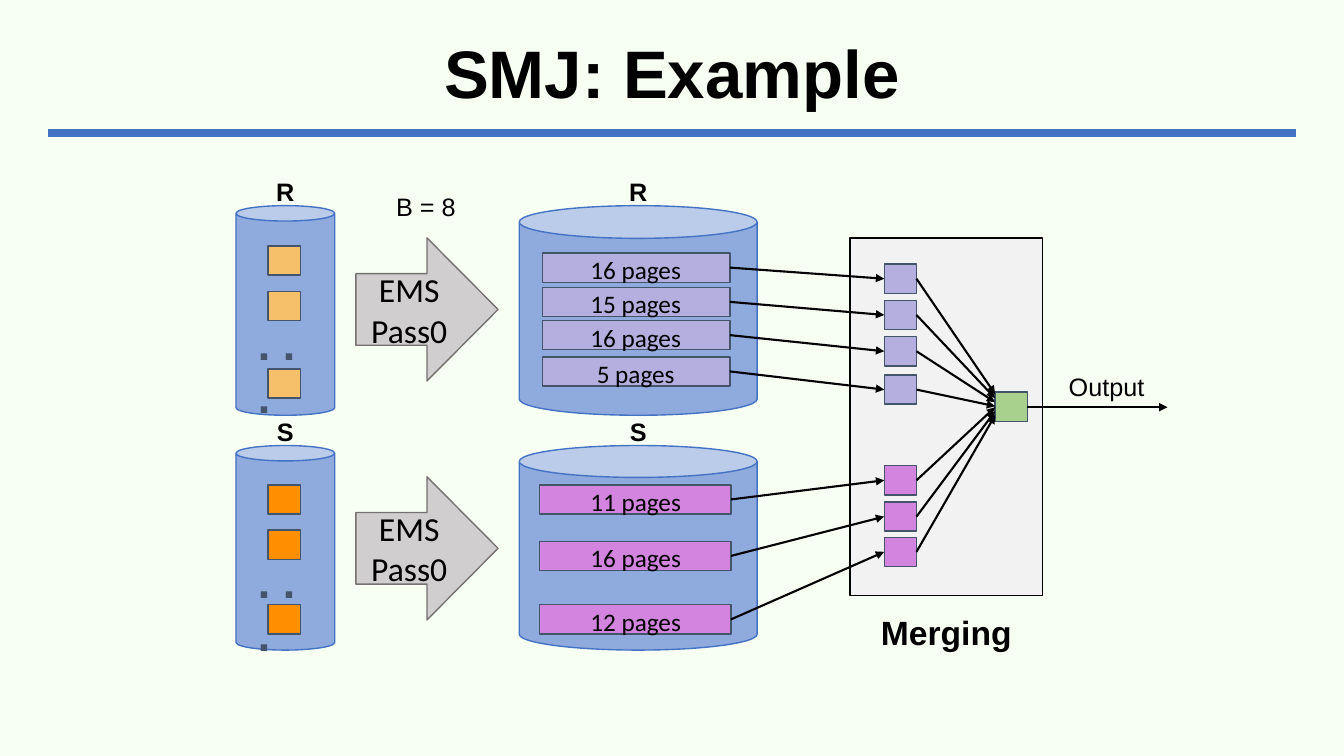
from lxml import etree
from pptx import Presentation
from pptx.dml.color import RGBColor
from pptx.enum.shapes import MSO_CONNECTOR, MSO_SHAPE
from pptx.enum.text import MSO_ANCHOR, PP_ALIGN
from pptx.oxml.ns import qn
from pptx.util import Inches, Pt

BACKGROUND = RGBColor(0xF7, 0xFF, 0xF3)
BLACK = RGBColor(0x00, 0x00, 0x00)
BLUE = RGBColor(0x44, 0x72, 0xC4)
DRUM_BLUE = RGBColor(0x8F, 0xAA, 0xDC)
SLATE = RGBColor(0x44, 0x54, 0x6A)
LIGHT_ORANGE = RGBColor(0xF6, 0xBF, 0x69)
ORANGE = RGBColor(0xFF, 0x8F, 0x00)
LAVENDER = RGBColor(0xB4, 0xAF, 0xDF)
PINK = RGBColor(0xD2, 0x84, 0xDF)
GREEN = RGBColor(0xA9, 0xD1, 0x8E)
ARROW_GRAY = RGBColor(0xD0, 0xCE, 0xCE)
ARROW_EDGE = RGBColor(0x76, 0x71, 0x71)
PANEL_GRAY = RGBColor(0xF2, 0xF2, 0xF2)

PAGE_WIDTH, PAGE_HEIGHT = 0.32, 0.29
MERGE_LEFT = 8.77
OUTPUT_LEFT, OUTPUT_TOP = 9.87, 3.89

# Every relation: drum position, its pages, its sorted runs and the merge inputs.
RELATIONS = [
    {"name": "R", "top": 2.04, "height": 2.08, "name_center": 2.83,
     "page_color": LIGHT_ORANGE, "page_tops": (2.44, 2.89, 3.66), "dots_top": 3.08,
     "run_color": LAVENDER, "run_left": 5.38, "run_width": 1.86,
     "runs": ((2.51, "16 pages"), (2.85, "15 pages"),
              (3.18, "16 pages"), (3.54, "5 pages")),
     "merge_tops": (2.62, 2.98, 3.34, 3.72), "first_target": 3.91,
     "sort_top": 2.36, "sort_label": "EMS\nPass0"},
    {"name": "S", "top": 4.42, "height": 2.03, "name_center": 2.83,
     "page_color": ORANGE, "page_tops": (4.81, 5.26, 6.00), "dots_top": 5.44,
     "run_color": PINK, "run_left": 5.35, "run_width": 1.90,
     "runs": ((4.81, "11 pages"), (5.37, "16 pages"), (6.00, "12 pages")),
     "merge_tops": (4.62, 4.98, 5.33), "first_target": 4.04,
     "sort_top": 4.73, "sort_label": "EMS Pass0"},
]


def write(frame, text, size, font="Arial", color=BLACK, bold=False,
          align=PP_ALIGN.CENTER, spacing=None):
    frame.word_wrap = True
    frame.text = text
    for paragraph in frame.paragraphs:
        paragraph.alignment = align
        paragraph.line_spacing = spacing
        style = {"size": Pt(size), "name": font, "bold": bold}
        for attribute, value in style.items():
            setattr(paragraph.font, attribute, value)
        paragraph.font.color.rgb = color


def add_label(shapes, left, top, width, height, text, size, **style):
    label = shapes.add_textbox(Inches(left), Inches(top), Inches(width), Inches(height))
    write(label.text_frame, text, size, **style)
    return label


def add_block(shapes, kind, left, top, width, height, fill, edge=SLATE):
    block = shapes.add_shape(kind, Inches(left), Inches(top), Inches(width), Inches(height))
    block.shadow.inherit = False
    block.fill.solid()
    block.fill.fore_color.rgb = fill
    block.line.color.rgb = edge
    block.line.width = Pt(1)
    return block


def add_page(shapes, left, top, color):
    add_block(shapes, MSO_SHAPE.RECTANGLE, left, top, PAGE_WIDTH, PAGE_HEIGHT, color)


def add_line(shapes, start, end, color=BLACK, width=1.5, arrow=True):
    line = shapes.add_connector(MSO_CONNECTOR.STRAIGHT, *map(Inches, start + end))
    line.line.color.rgb = color
    line.line.width = Pt(width)
    if arrow:
        etree.SubElement(line.line._get_or_add_ln(), qn("a:tailEnd"), type="triangle")
    etree.SubElement(line._element.spPr, qn("a:effectLst"))


def add_drum(shapes, relation, left, width, name_center):
    """Add a named disk cylinder as a group and return the group's shapes."""
    drum_shapes = shapes.add_group_shape().shapes
    drum = add_block(drum_shapes, MSO_SHAPE.CAN, left, relation["top"], width,
                     relation["height"], DRUM_BLUE, BLUE)
    drum.adjustments[0] = 0.156
    add_label(drum_shapes, name_center - 0.4, relation["top"] - 0.34, 0.8, 0.37,
              relation["name"], 18, bold=True)
    return drum_shapes


def add_source(shapes, relation):
    """Add the unsorted relation with its pages."""
    drum = add_drum(shapes, relation, 2.34, 0.98, relation["name_center"])
    for top in relation["page_tops"]:
        add_page(drum, 2.66, top, relation["page_color"])
    add_label(drum, 2.46, relation["dots_top"], 0.75, 0.58, ". . .", 32,
              color=SLATE, bold=True, align=PP_ALIGN.LEFT)


def add_sort_arrow(shapes, relation):
    arrow = add_block(shapes, MSO_SHAPE.RIGHT_ARROW, 3.53, relation["sort_top"],
                      1.41, 1.42, ARROW_GRAY, ARROW_EDGE)
    arrow.text_frame.vertical_anchor = MSO_ANCHOR.MIDDLE
    write(arrow.text_frame, relation["sort_label"], 24, font="Calibri")


def add_sorted_runs(shapes, relation):
    drum = add_drum(shapes, relation, 5.15, 2.36, 6.33)
    for top, pages in relation["runs"]:
        add_block(drum, MSO_SHAPE.RECTANGLE, relation["run_left"], top,
                  relation["run_width"], PAGE_HEIGHT, relation["run_color"])
        add_label(shapes, 5.72, top - 0.18, 1.17, 0.5, pages, 18,
                  font="Calibri", spacing=Pt(32))


def add_merge_inputs(shapes, relation):
    """Connect each sorted run to its input page, and that page to the output."""
    run_right = relation["run_left"] + relation["run_width"]
    half = PAGE_HEIGHT / 2
    for index, (run, top) in enumerate(zip(relation["runs"], relation["merge_tops"])):
        add_page(shapes, MERGE_LEFT, top, relation["run_color"])
        add_line(shapes, (run_right, run[0] + half), (MERGE_LEFT, top + half))
        add_line(shapes, (MERGE_LEFT + PAGE_WIDTH, top + half),
                 (OUTPUT_LEFT, relation["first_target"] + 0.04 * index))


def main():
    deck = Presentation()
    deck.slide_width, deck.slide_height = Inches(13.33), Inches(7.5)
    slide = deck.slides.add_slide(deck.slide_layouts[6])
    slide.background.fill.solid()
    slide.background.fill.fore_color.rgb = BACKGROUND
    shapes = slide.shapes

    add_line(shapes, (0.48, 1.32), (12.85, 1.32), BLUE, 6, arrow=False)
    title = add_label(shapes, 0.48, 0.24, 12.37, 1.04, "SMJ: Example", 48,
                      bold=True, spacing=0.9)
    title.text_frame.vertical_anchor = MSO_ANCHOR.MIDDLE

    add_block(shapes, MSO_SHAPE.RECTANGLE, 8.43, 2.36, 1.91, 3.55, PANEL_GRAY, BLACK)
    add_page(shapes, OUTPUT_LEFT, OUTPUT_TOP, GREEN)
    for relation in RELATIONS:
        add_source(shapes, relation)
        add_sort_arrow(shapes, relation)
        add_sorted_runs(shapes, relation)
        add_merge_inputs(shapes, relation)
    add_line(shapes, (OUTPUT_LEFT + PAGE_WIDTH, 4.04), (11.58, 4.04))

    add_label(shapes, 3.64, 1.7, 1.17, 0.5, "B = 8", 18, spacing=Pt(32))
    add_label(shapes, 8.23, 5.98, 2.31, 0.55, "Merging", 24, bold=True, spacing=Pt(32))
    add_label(shapes, 10.39, 3.49, 1.17, 0.55, "Output", 18, spacing=Pt(32))
    deck.save("out.pptx")


if __name__ == "__main__":
    main()
